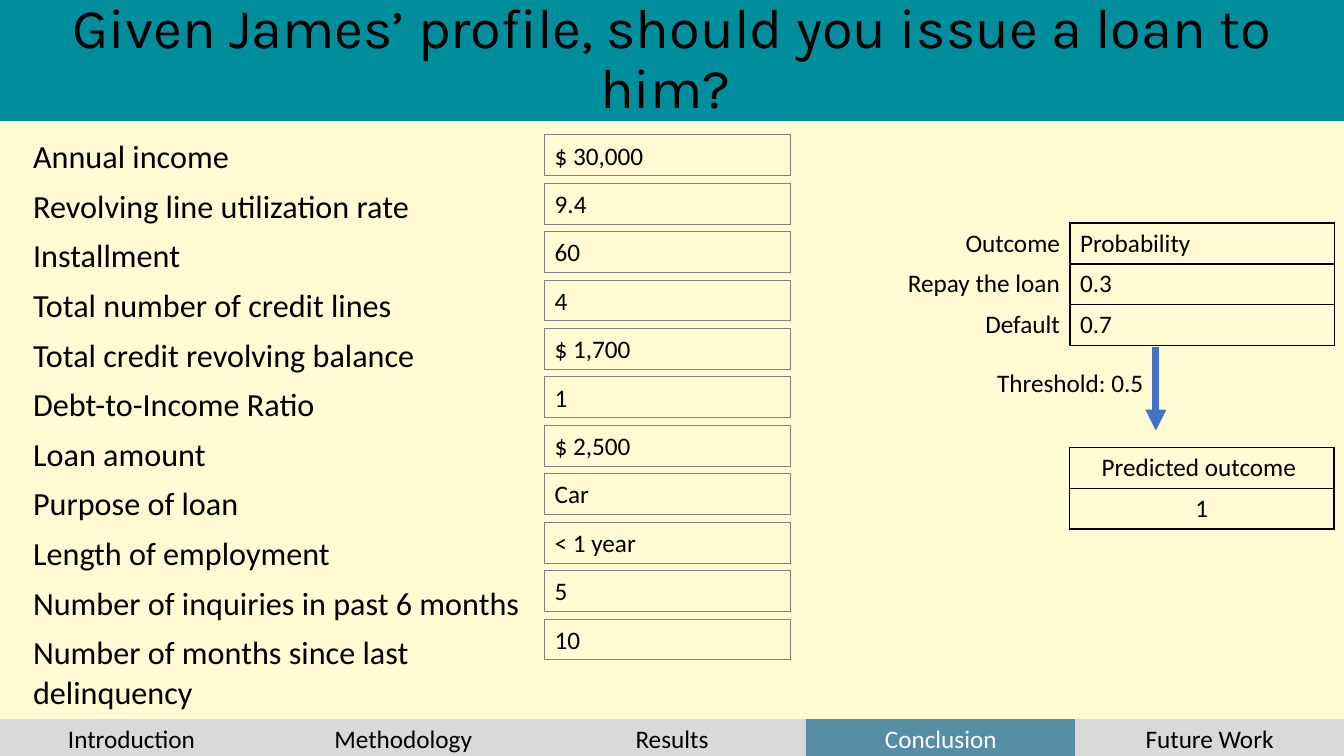
"""Build the loan decision slide for James' profile."""
import pptx
import pptx.chart.data
import pptx.dml.color
import pptx.enum.shapes
import pptx.enum.text
import pptx.oxml
import pptx.oxml.ns
import pptx.util

Cm = pptx.util.Cm
Pt = pptx.util.Pt
RGB = pptx.dml.color.RGBColor
ALIGN = pptx.enum.text.PP_ALIGN
ANCHOR = pptx.enum.text.MSO_ANCHOR
SHAPE = pptx.enum.shapes.MSO_SHAPE
qn = pptx.oxml.ns.qn

CREAM = RGB(0xFE, 0xFA, 0xD4)
TEAL = RGB(0x00, 0x8E, 0x9C)
BLACK = RGB(0, 0, 0)
WHITE = RGB(0xFF, 0xFF, 0xFF)
SILVER = RGB(0xD9, 0xD9, 0xD9)
STEEL = RGB(0x56, 0x8E, 0xA6)
GREY = RGB(0x80, 0x80, 0x80)
BLUE = RGB(0x44, 0x72, 0xC4)
PLAIN = "{2D5ABB26-0587-4C30-8999-92F81FD0307C}"
BORDER = (
    '<a:{} xmlns:a="http://schemas.openxmlformats.org/drawingml/2006/main" w="12700">'
    '<a:solidFill><a:srgbClr val="000000"/></a:solidFill></a:{}>'
)


def style(frame, text, size=18, align=ALIGN.LEFT, color=BLACK, face="Calibri"):
    frame.text = text
    para = frame.paragraphs[0]
    para.alignment = align
    font = para.runs[0].font
    font.name, font.size, font.color.rgb = face, Pt(size), color


def grid(rows, left, top, width, height, size=18, aligns=(ALIGN.CENTER,), boxed=()):
    count = len(rows[0])
    frame = slide.shapes.add_table(
        len(rows), count, Cm(left), Cm(top), Cm(width), Cm(height * len(rows))
    )
    table = frame.table
    table.first_row = table.horz_banding = False
    table._tbl.tblPr.find(qn("a:tableStyleId")).text = PLAIN
    for r, row in enumerate(rows):
        for c, text in enumerate(row):
            cell = table.cell(r, c)
            style(cell.text_frame, text, size, aligns[c % len(aligns)])
            if c in boxed:
                props = cell._tc.get_or_add_tcPr()
                for side in ("lnL", "lnR", "lnT", "lnB"):
                    props.append(pptx.oxml.parse_xml(BORDER.format(side, side)))
            cell.fill.background()
    return table


deck = pptx.Presentation()
deck.slide_width, deck.slide_height = Cm(33.87), Cm(19.05)
slide = deck.slides.add_slide(deck.slide_layouts[5])
slide.background.fill.solid()
slide.background.fill.fore_color.rgb = CREAM

title = slide.shapes.title
title.left, title.top, title.width, title.height = Cm(0), Cm(0), Cm(33.87), Cm(3.05)
title.fill.solid()
title.fill.fore_color.rgb = TEAL
title.text_frame.vertical_anchor = ANCHOR.MIDDLE
title.text_frame.auto_size = pptx.enum.text.MSO_AUTO_SIZE.NONE
style(title.text_frame, "Given James’ profile, should you issue a loan to him? ",
      40, ALIGN.CENTER, face="Karla")
title.text_frame.paragraphs[0].line_spacing = 0.9

steps = ["Introduction ", "Methodology", "Results", "Conclusion", "Future Work"]
menu = grid([steps], 0, 18.13, 33.87, 0.93)
for step, cell in zip(steps, menu.iter_cells()):
    active = step == "Conclusion"
    cell.fill.solid()
    cell.fill.fore_color.rgb = STEEL if active else SILVER
    cell.text_frame.paragraphs[0].runs[0].font.color.rgb = WHITE if active else BLACK

profile = [
    ("Annual income", "$ 30,000"),
    ("Revolving line utilization rate", "9.4"),
    ("Installment", "60"),
    ("Total number of credit lines", "4"),
    ("Total credit revolving balance", "$ 1,700"),
    ("Debt-to-Income Ratio", "1"),
    ("Loan amount", "$ 2,500"),
    ("Purpose of loan", "Car"),
    ("Length of employment", "< 1 year"),
    ("Number of inquiries in past 6 months", "5"),
    ("Number of months since last delinquency", "10"),
]
grid([[label] for label, value in profile], 0.58, 3.35, 13.56, 1.03, 23, (ALIGN.LEFT,))
for i, (label, value) in enumerate(profile):
    box = slide.shapes.add_shape(
        SHAPE.RECTANGLE, Cm(13.73), Cm(3.4 + 1.22 * i), Cm(6.2), Cm(1.03)
    )
    box.shadow.inherit = False
    box.fill.background()
    box.line.color.rgb = GREY
    box.line.width = Pt(0.75)
    box.text_frame.vertical_anchor = ANCHOR.TOP
    style(box.text_frame, value)

odds = [("Outcome", "Probability"), ("Repay the loan", "0.3"), ("Default", "0.7")]
grid(odds, 20.3, 5.62, 13.33, 1.03, aligns=(ALIGN.RIGHT, ALIGN.LEFT), boxed=(1,))
grid([["Predicted outcome "], ["1"]], 26.95, 11.27, 6.67, 1.03, boxed=(0,))

arrow = slide.shapes.add_connector(
    pptx.enum.shapes.MSO_CONNECTOR.STRAIGHT, Cm(29.13), Cm(8.74), Cm(29.13), Cm(10.85)
)
arrow.line.color.rgb = BLUE
arrow.line.width = Pt(5)
tip = arrow.line._get_or_add_ln().makeelement(qn("a:tailEnd"), {"type": "triangle"})
arrow.line._get_or_add_ln().append(tip)
props = arrow._element.spPr
props.append(props.makeelement(qn("a:effectLst"), {}))

note = slide.shapes.add_textbox(Cm(24.88), Cm(9.13), Cm(4.25), Cm(1.03))
note.text_frame.word_wrap = False
style(note.text_frame, "Threshold: 0.5")

deck.save("out.pptx")
